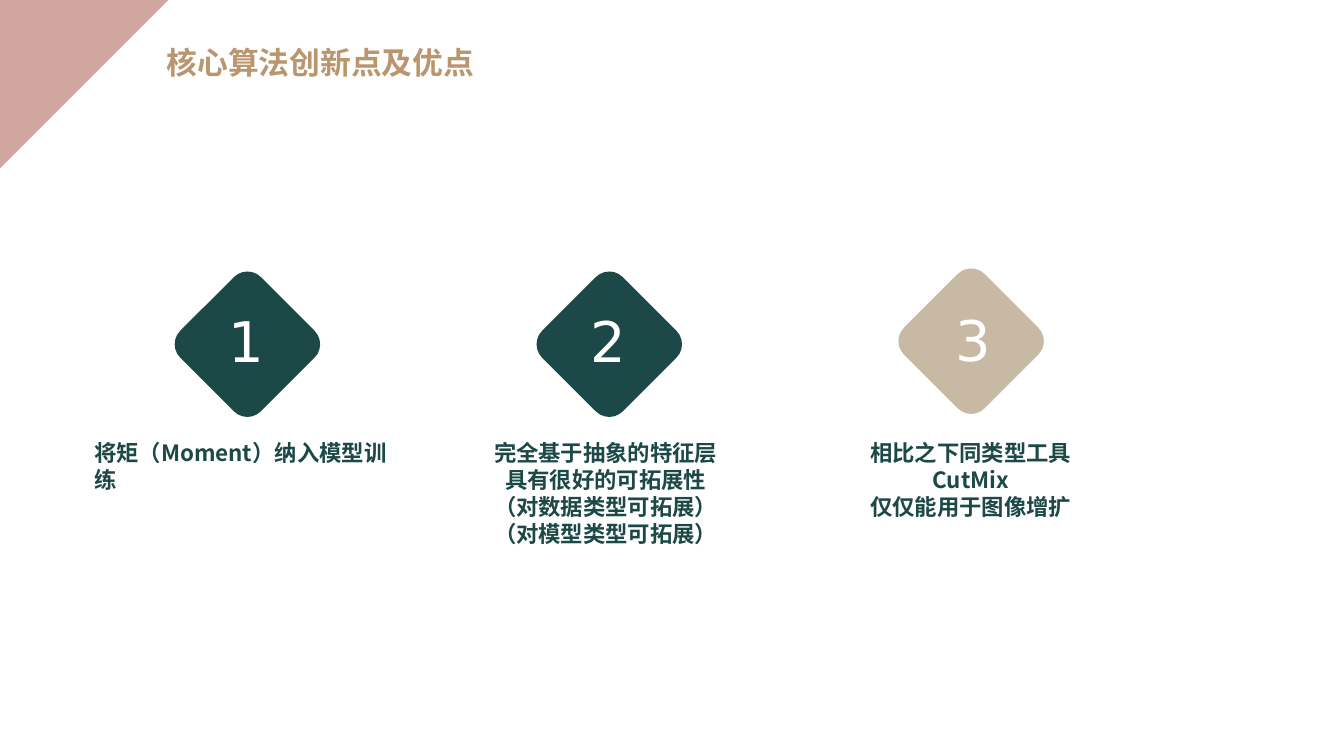
from copy import deepcopy

from lxml import etree
from pptx import Presentation
from pptx.dml.color import RGBColor
from pptx.enum.shapes import MSO_SHAPE
from pptx.enum.text import MSO_ANCHOR, MSO_AUTO_SIZE, PP_ALIGN
from pptx.oxml.ns import qn
from pptx.util import Pt

LEFT, CENTER = PP_ALIGN.LEFT, PP_ALIGN.CENTER
TOP, NO_FIT = MSO_ANCHOR.TOP, MSO_AUTO_SIZE.NONE
TRIANGLE, ROUNDED = MSO_SHAPE.RIGHT_TRIANGLE, MSO_SHAPE.ROUNDED_RECTANGLE

CJK, SANS = "Noto Sans CJK SC", "DejaVu Sans"
GREEN, SAND, GOLD, PINK, WHITE = "1C4847", "C8B9A5", "B9966E", "D2A6A0", "FFFFFF"

TITLE = "核心算法创新点及优点"
POINTS = [
    {"text": ["将矩（Moment）纳入模型训练"], "box": (61.2, 231.1, 25.2),
     "align": LEFT, "fill": GREEN, "top": 205.2, "digit": (20.2, 215.3)},
    {"text": ["完全基于抽象的特征层\n具有很好的可拓展性\n（对数据类型可拓展）",
              "（对模型类型可拓展）"], "box": (346.3, 172.8, 83.5),
     "align": CENTER, "fill": GREEN, "top": 205.2, "digit": (20.2, 215.3)},
    {"text": ["相比之下同类型工具\nCutMix\n仅仅能用于图像增扩"], "box": (614.9, 157, 64.1),
     "align": CENTER, "fill": SAND, "top": 203, "digit": (22.3, 214.6)},
]
FIRST_X, PITCH, SIDE = 136, 258.5, 81.4
TEXT_TOP = 311


def rgb(value):
    return RGBColor.from_string(value)


def write(sp, paragraphs, size, color, font=CJK, bold=False, align=LEFT, inset=(6, 3)):
    tf = sp.text_frame
    tf.word_wrap, tf.auto_size, tf.vertical_anchor = True, NO_FIT, TOP
    tf.margin_left = tf.margin_right = Pt(inset[0])
    tf.margin_top = tf.margin_bottom = Pt(inset[1])
    for i, text in enumerate(paragraphs):
        p = tf.add_paragraph() if i else tf.paragraphs[0]
        p.text, p.alignment = text, align
        for r in p.runs:
            r.font.size, r.font.bold, r.font.name = Pt(size), bold, font
            r.font.color.rgb = rgb(color)
            etree.SubElement(r.font._element, qn("a:ea"), typeface=font)
        for br in p._p.findall(qn("a:br")):
            br.append(deepcopy(p.runs[0].font._element))


def add_plain(s, kind, x, y, side, angle, fill):
    sp = s.shapes.add_shape(kind, Pt(x), Pt(y), Pt(side), Pt(side))
    sp.rotation = angle
    sp.shadow.inherit = False
    sp.fill.solid()
    sp.fill.fore_color.rgb = rgb(fill)
    sp.line.fill.background()


def add_text(s, x, y, w, h, paragraphs, **style):
    sp = s.shapes.add_textbox(Pt(x), Pt(y), Pt(w), Pt(h))
    write(sp, paragraphs, **style)


def main():
    prs = Presentation()
    prs.slide_width, prs.slide_height = Pt(960), Pt(540)
    s = prs.slides.add_slide(prs.slide_layouts[5])

    title = s.shapes.title
    title.left, title.top, title.width, title.height = Pt(113), Pt(28.1), Pt(233.3), Pt(32.4)
    write(title, [TITLE], size=22, color=GOLD, bold=True)

    add_plain(s, TRIANGLE, -1.5, 0, 121.7, 90, PINK)
    for i, point in enumerate(POINTS):
        x = FIRST_X + i * PITCH
        add_plain(s, ROUNDED, x, point["top"], SIDE, 45, point["fill"])
        dx, digit_top = point["digit"]
        add_text(s, x + dx, digit_top, 36.7, 55.4, [str(i + 1)],
                 size=40, color=WHITE, font=SANS, inset=(7.2, 3.6))
        left, width, height = point["box"]
        add_text(s, left, TEXT_TOP, width, height, point["text"],
                 size=16, color=GREEN, bold=True, align=point["align"])

    prs.save("out.pptx")


if __name__ == "__main__":
    main()
